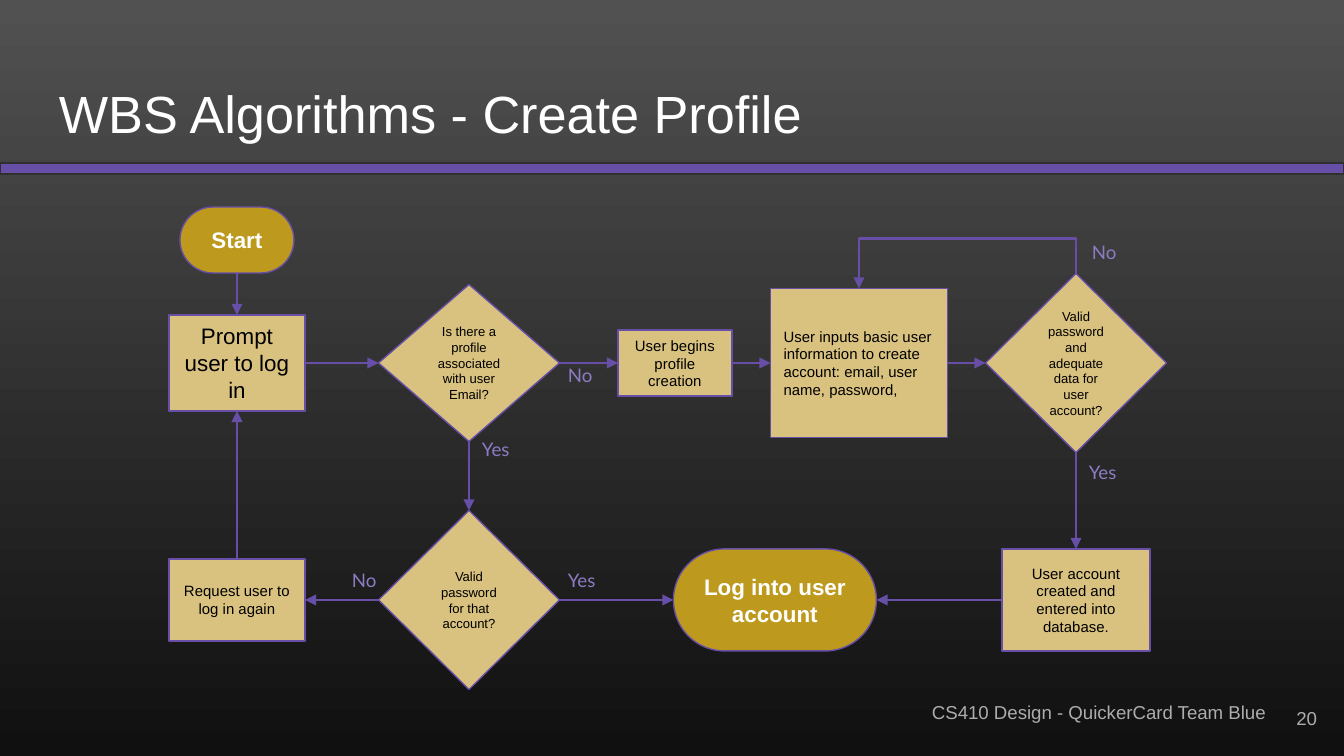
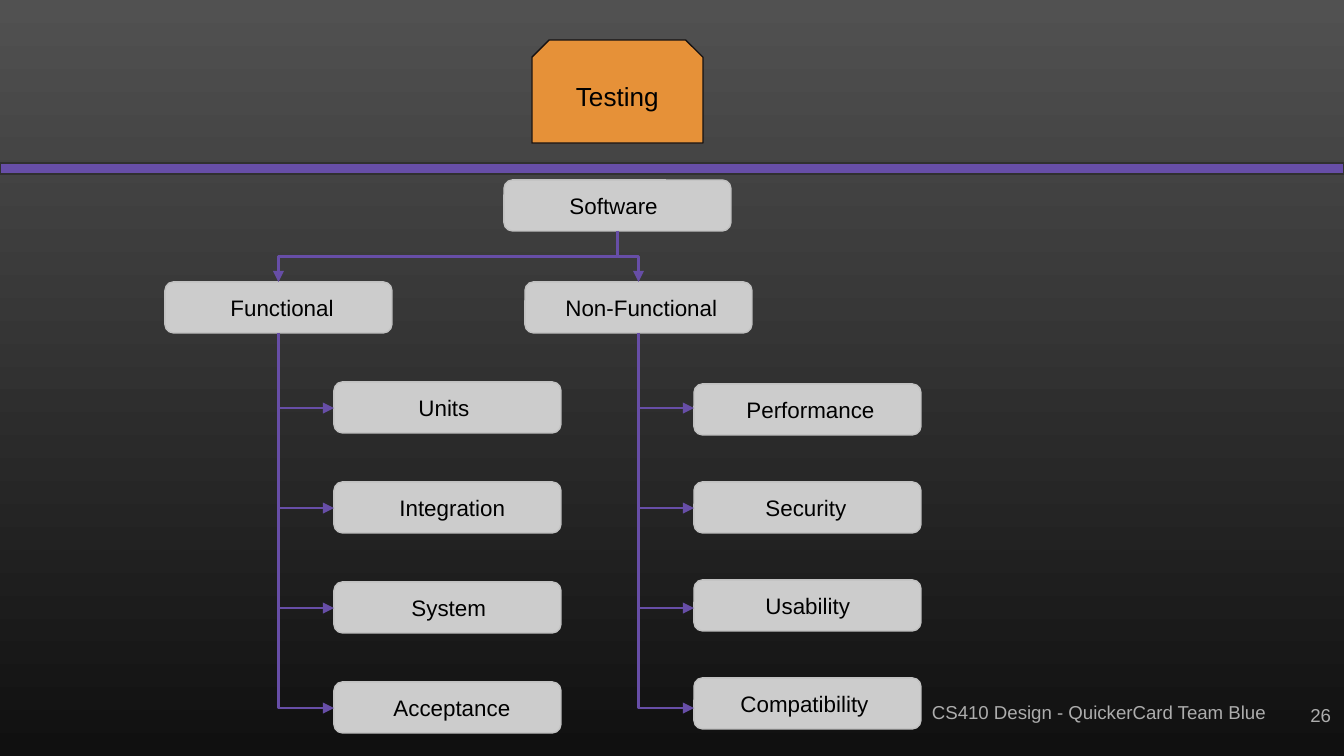
from dataclasses import dataclass

from lxml.etree import SubElement
from pptx import Presentation
from pptx.dml.color import RGBColor
from pptx.enum.shapes import MSO_CONNECTOR as CXN, MSO_SHAPE as SHAPE
from pptx.enum.text import MSO_ANCHOR as ANCHOR, PP_ALIGN as ALIGN
from pptx.oxml.ns import qn
from pptx.util import Emu, Pt


@dataclass(frozen=True)
class Theme:
    # Colours
    bg_top: str = "515151"
    bg_bottom: str = "101010"
    accent: str = "674EA7"
    band_line: str = "303030"
    label: str = "8E7CC3"
    muted: str = "ADADAD"
    step: str = "D9C27F"
    terminal: str = "BD9A1E"
    root: str = "E69138"
    root_line: str = "161212"
    node: str = "CCCCCC"
    node_line: str = "C1C1C1"
    white: str = "FFFFFF"
    black: str = "000000"
    # Fonts and sizes
    font: str = "Arial"
    label_font: str = "Lato"
    title: int = 28
    heading: int = 14
    body: int = 12
    small: int = 10
    detail: int = 8
    decision: int = 7


T = Theme()
EMU_PER_PX = 914400 / 134.4
W, H = 1344, 756
INSET = 13
TOP, LEFT, BOTTOM, RIGHT = range(4)  # connection sites


def px(n):
    return Emu(round(n * EMU_PER_PX))


def rgb(code):
    return RGBColor.from_string(code)


# Text and shapes

def write(sp, text, size, color, align=ALIGN.LEFT, anchor=ANCHOR.TOP,
          bold=False, font=T.font, indent=0):
    tf = sp.text_frame
    tf.word_wrap = True
    tf.vertical_anchor = anchor
    tf.margin_left = px(INSET + indent)
    tf.margin_top = tf.margin_right = tf.margin_bottom = px(INSET)
    p = tf.paragraphs[0]
    p.text = text
    p.alignment = align
    p.font.name, p.font.size, p.font.bold = font, Pt(size), bold
    p.font.color.rgb = rgb(color)


def add_text(s, box, text, size, color, **style):
    write(s.shapes.add_textbox(*map(px, box)), text, size, color, **style)


def add_box(s, kind, box, fill, line, adj=()):
    sp = s.shapes.add_shape(kind, *map(px, box))
    sp.shadow.inherit = False
    sp.fill.solid()
    sp.fill.fore_color.rgb = rgb(fill)
    sp.line.color.rgb = rgb(line)
    sp.line.width = Pt(0.75)
    for i, value in enumerate(adj):
        sp.adjustments[i] = value
    return sp


# Connectors

def style_arrow(c):
    c.line.color.rgb = rgb(T.accent)
    c.line.width = Pt(1.5)
    SubElement(c.line._get_or_add_ln(), qn("a:tailEnd"), type="triangle")
    SubElement(c._element.spPr, qn("a:effectLst"))


def link(s, a, a_site, b, b_site):
    c = s.shapes.add_connector(CXN.STRAIGHT, 0, 0, 0, 0)
    c.begin_connect(a, a_site)
    c.end_connect(b, b_site)
    style_arrow(c)


def elbow(s, x1, y1, x2, y2, preset="bentConnector3", adj=None):
    """Leave (x1, y1) vertically: a horizontal elbow turned by 90 degrees."""
    cx, cy = (x1 + x2) / 2, (y1 + y2) / 2
    dx, dy = (x2 - x1) / 2, (y2 - y1) / 2
    c = s.shapes.add_connector(CXN.ELBOW, px(cx - dy), px(cy + dx),
                               px(cx + dy), px(cy - dx))
    c.rotation = 90
    geom = c._element.spPr.find(qn("a:prstGeom"))
    geom.set("prst", preset)
    if adj is not None:
        guides = geom.find(qn("a:avLst"))
        if guides is None:
            guides = SubElement(geom, qn("a:avLst"))
        SubElement(guides, qn("a:gd"), name="adj1",
                   fmla=f"val {round(adj * 100000)}")
    style_arrow(c)


# Shared slide frame

def add_frame(prs, number, number_box):
    s = prs.slides.add_slide(prs.slide_layouts[6])
    fill = s.background.fill
    fill.gradient()
    fill.gradient_angle = 270
    for stop, color, at in zip(fill.gradient_stops,
                               (T.bg_top, T.bg_bottom), (0, 1)):
        stop.color.rgb = rgb(color)
        stop.position = at
    add_box(s, SHAPE.RECTANGLE, (0, 163, W, 11), T.accent, T.band_line)
    add_text(s, (919, 690, W - 919, 50),
             "CS410 Design - QuickerCard Team Blue", T.small, T.muted)
    add_text(s, number_box, number, T.small, T.muted,
             align=ALIGN.RIGHT, anchor=ANCHOR.MIDDLE)
    return s


# Flowchart of the profile creation

def add_flowchart(s, x, y):
    first, second, third, fourth, fifth = (
        x + dx for dx in (68, 300, 506, 690, 907))
    start_row, upper, lower = y + 33, y + 156, y + 393

    def node(kind, cx, cy, w, h, text, size, fill=T.step, color=T.black,
             adj=(), align=ALIGN.CENTER, bold=False):
        sp = add_box(s, kind, (cx - w / 2, cy - h / 2, w, h),
                     fill, T.accent, adj)
        write(sp, text, size, color, align, ANCHOR.MIDDLE, bold)
        return sp

    def step(cx, cy, w, h, text, size=T.detail, **style):
        return node(SHAPE.ROUNDED_RECTANGLE, cx, cy, w, h, text, size,
                    adj=(0,), **style)

    def terminal(cx, cy, w, h, text):
        return node(SHAPE.ROUNDED_RECTANGLE, cx, cy, w, h, text, T.body,
                    T.terminal, T.white, (0.5,), bold=True)

    def decision(cx, cy, h, text):
        return node(SHAPE.FLOWCHART_DECISION, cx, cy, 181, h, text, T.decision)

    start = terminal(first, start_row, 114, 66, "Start")
    prompt = step(first, upper, 136, 96, "Prompt user to log in", T.body)
    has_profile = decision(second, upper, 157,
                           "Is there a profile associated with user Email?")
    begin = step(third, upper, 114, 66, "User begins profile creation")
    inputs = step(fourth, upper, 177, 149,
                  "User inputs basic user information to create account: "
                  "email, user name, password,", align=ALIGN.LEFT)
    valid_data = decision(fifth, upper, 179,
                          "Valid password and adequate data for user account?")
    request = step(first, lower, 136, 82, "Request user to log in again")
    valid_login = decision(second, lower, 179,
                           "Valid password for that account?")
    login = terminal(x + 606, lower, 203, 102, "Log into user account")
    created = step(fifth, lower, 148, 102,
                   "User account created and entered into database.")

    for a, a_site, b, b_site in (
            (start, BOTTOM, prompt, TOP),
            (prompt, RIGHT, has_profile, LEFT),
            (has_profile, RIGHT, begin, LEFT),
            (begin, RIGHT, inputs, LEFT),
            (inputs, RIGHT, valid_data, LEFT),
            (valid_data, BOTTOM, created, TOP),
            (created, LEFT, login, RIGHT),
            (has_profile, BOTTOM, valid_login, TOP),
            (valid_login, RIGHT, login, LEFT),
            (valid_login, LEFT, request, RIGHT),
            (request, TOP, prompt, BOTTOM)):
        link(s, a, a_site, b, b_site)

    # Loop back to the input step
    elbow(s, fifth, upper - 89.5, fourth, upper - 74.5, adj=-2.35)

    for text, dx, dy, w in (("Yes", 300, 220, 98), ("Yes", 907, 243, 98),
                            ("Yes", 386, 351, 98), ("No", 386, 146, 69),
                            ("No", 910, 23, 69), ("No", 170, 351, 69)):
        add_text(s, (x + dx, y + dy, w, 50), text, T.small, T.label,
                 font=T.label_font)


# Tree of the test types

NODE_W, NODE_H = 227, 51


def add_tree_node(s, x, y, text, indent):
    sp = add_box(s, SHAPE.ROUNDED_RECTANGLE, (x, y, NODE_W, NODE_H),
                 T.node, T.node_line, (0.167,))
    write(sp, text, T.body, T.black, anchor=ANCHOR.MIDDLE, indent=indent)


def add_branch(s, x, y, head, leaves, first_leaf, pitch):
    stem = x + NODE_W / 2
    add_tree_node(s, x, y, *head)
    for i, leaf in enumerate(leaves):
        add_tree_node(s, x + 169, y + first_leaf + i * pitch, *leaf)
        elbow(s, stem, y + NODE_H, x + 169, y + 126 + i * 100,
              preset="bentConnector2")


def add_test_tree(s, x, y):
    root = add_box(s, SHAPE.SNIP_2_SAME_RECTANGLE, (x + 367, y, 171, 103),
                   T.root, T.root_line, (0.167, 0))
    write(root, "Testing", T.heading, T.black, ALIGN.CENTER, ANCHOR.MIDDLE)

    software_x, software_y, branch_y = x + 339, y + 140, y + 242
    add_tree_node(s, software_x, software_y, "Software", 50)
    branches = (
        (x, ("Functional", 50),
         (("Units", 69), ("Integration", 50),
          ("System", 62), ("Acceptance", 44)), 100, 100),
        (x + 360, ("Non-Functional", 25),
         (("Performance", 37), ("Security", 56),
          ("Usability", 56), ("Compatibility", 31)), 102, 98))
    for left, head, leaves, first_leaf, pitch in branches:
        add_branch(s, left, branch_y, head, leaves, first_leaf, pitch)
        elbow(s, software_x + NODE_W / 2, software_y + NODE_H,
              left + NODE_W / 2, branch_y)


def main():
    prs = Presentation()
    prs.slide_width, prs.slide_height = px(W), px(H)

    s = add_frame(prs, "20", (1249, 689, 81, 58))
    add_text(s, (46, 66, 1252, 91), "WBS Algorithms - Create Profile",
             T.title, T.white, anchor=ANCHOR.BOTTOM)
    add_flowchart(s, 169, 207)

    s = add_frame(prs, "26", (1263, 686, 81, 58))
    add_test_tree(s, 165, 40)

    prs.save("out.pptx")


if __name__ == "__main__":
    main()
